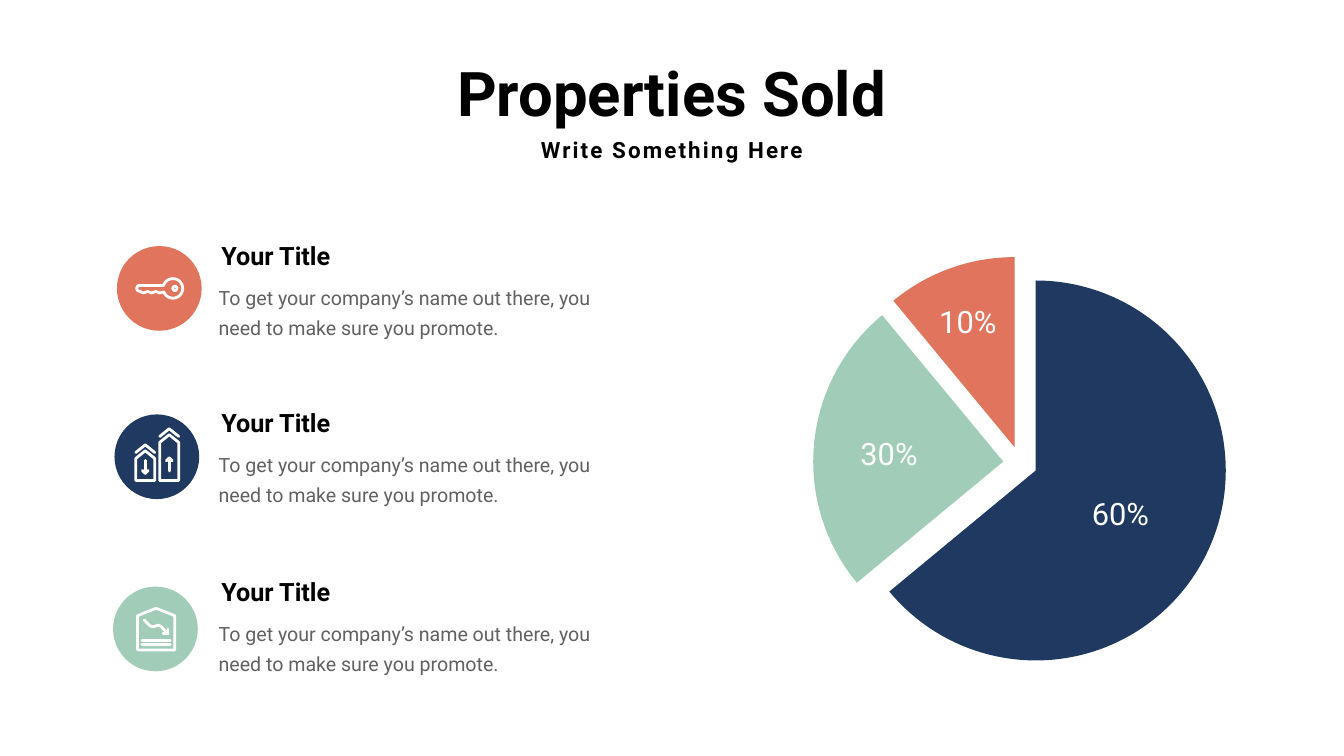
from math import cos, sin, radians

from lxml.etree import SubElement
from pptx import Presentation
from pptx.chart.data import CategoryChartData
from pptx.dml.color import RGBColor
from pptx.enum.chart import XL_CHART_TYPE
from pptx.enum.shapes import MSO_CONNECTOR, MSO_SHAPE
from pptx.enum.text import MSO_ANCHOR, MSO_AUTO_SIZE, PP_ALIGN
from pptx.oxml import parse_xml
from pptx.oxml.ns import nsdecls, qn
from pptx.util import Pt

BLACK = RGBColor(0x00, 0x00, 0x00)
WHITE = RGBColor(0xFF, 0xFF, 0xFF)
PALE = RGBColor(0xFE, 0xFF, 0xFE)
GRAY = RGBColor(0x60, 0x61, 0x60)
NAVY = RGBColor(0x1F, 0x39, 0x61)
MINT = RGBColor(0xA1, 0xCC, 0xB7)
CORAL = RGBColor(0xE0, 0x74, 0x5D)

HEAD = "Your Title"
BODY = "To get your company’s name out there, you need to make sure you promote."
DISC = 121
STROKE = 4

# Top of the row's heading, place of its disc, colour
ROWS = [
    (340, (167, 351.5), CORAL),
    (578.5, (163.5, 592), NAVY),
    (819.5, (161.5, 838), MINT),
]
SLICES = [("1", 64, NAVY), ("2", 25, MINT), ("3", 11, CORAL)]
LABELS = [("60%", 1525, 703.5), ("10%", 1307, 428.5), ("30%", 1194.5, 617)]

# Icon points are measured from the corner of the disc
BOW = [(80 + 14 * cos(radians(a)), 60.5 + 14 * sin(radians(a)))
       for a in range(197, 520, 14)]
TEETH = [(61, 67), (55.5, 65), (49.5, 67), (44, 65), (38, 67),
         (29.5, 63.5), (28, 60.5), (30, 56.5)]
HOUSE = [(35, 90.5), (35, 41.5), (61.5, 31), (88, 41.5), (88, 90.5)]
TREND = [(44.5, 48), (52.5, 56), (57, 57.5), (60.5, 56.5), (64, 55),
         (68.5, 57), (78.5, 67.5)]
TIP = [(71.5, 67.5), (78.5, 67.5), (78.5, 60.5)]
BARS = [77, 83]
TOWERS = [(44, 52, 1), (78.2, 29, -1)]  # middle, peak, arrow direction

deck = Presentation()
deck.slide_width, deck.slide_height = Pt(1919.5), Pt(1080)
slide = deck.slides.add_slide(deck.slide_layouts[5])
shapes = slide.shapes


def write(box, text, size, color, bold=False, align=PP_ALIGN.LEFT):
    frame = box.text_frame
    frame.text = text
    frame.word_wrap = True
    frame.auto_size = MSO_AUTO_SIZE.SHAPE_TO_FIT_TEXT
    frame.vertical_anchor = MSO_ANCHOR.TOP
    para = frame.paragraphs[0]
    para.alignment = align
    font = para.runs[0].font
    font.name, font.size, font.bold = "Roboto", Pt(size), bold
    font.color.rgb = color
    return frame


def add_text(x, y, w, h, *style, **more):
    box = shapes.add_textbox(Pt(x), Pt(y), Pt(w), Pt(h))
    return write(box, *style, **more)


def ink(shape):
    """Give an icon part a white line with round ends."""
    shape.line.color.rgb = WHITE
    shape.line.width = Pt(STROKE)
    line = shape.line._get_or_add_ln()
    line.set("cap", "rnd")
    SubElement(line, qn("a:round"))


def add_path(disc, points, close=False):
    left, top = disc
    spots = [(Pt(left + x), Pt(top + y)) for x, y in points]
    pen = shapes.build_freeform(*spots[0], scale=1.0)
    pen.add_line_segments(spots[1:], close=close)
    shape = pen.convert_to_shape()
    shape.shadow.inherit = False
    shape.fill.background()
    ink(shape)


def add_line(disc, x1, y1, x2, y2):
    left, top = disc
    line = shapes.add_connector(MSO_CONNECTOR.STRAIGHT, Pt(left + x1),
                                Pt(top + y1), Pt(left + x2), Pt(top + y2))
    ink(line)
    SubElement(line._element.spPr, qn("a:effectLst"))


def add_disc(x, y, size):
    disc = shapes.add_shape(MSO_SHAPE.OVAL, Pt(x), Pt(y), Pt(size), Pt(size))
    disc.shadow.inherit = False
    return disc


def draw_key(disc):
    add_path(disc, BOW + TEETH, close=True)
    ring = add_disc(disc[0] + 79.7, disc[1] + 57.4, 6.2)
    ring.fill.background()
    ink(ring)


def draw_towers(disc):
    for mid, peak, way in TOWERS:
        west, east = mid - 13.6, mid + 13.6
        add_path(disc, [(west, 94.5), (west, peak + 11), (mid, peak),
                        (east, peak + 11), (east, 94.5)], close=True)
        add_path(disc, [(west, peak + 2.5), (mid, peak - 8.5),
                        (east, peak + 2.5)])
        center = 75 if way > 0 else 71.5
        tip = center + 9.3 * way
        add_line(disc, mid, center - 9.3 * way, mid, tip)
        add_path(disc, [(mid - 4.2, tip - 4.2 * way), (mid, tip),
                        (mid + 4.2, tip - 4.2 * way)])


def draw_house(disc):
    add_path(disc, HOUSE, close=True)
    add_path(disc, TREND)
    add_path(disc, TIP)
    for y in BARS:
        add_line(disc, 41.5, y, 81.5, y)


def add_pie():
    data = CategoryChartData()
    data.categories = [name for name, _, _ in SLICES]
    data.add_series("Series 1", [value for _, value, _ in SLICES])
    chart = shapes.add_chart(XL_CHART_TYPE.PIE, Pt(995), Pt(353.5),
                             Pt(924.5), Pt(616.5), data).chart
    chart.has_title = chart.has_legend = False
    chart.font.name, chart.font.size = "Calibri", Pt(10)
    chart.font.color.rgb = GRAY
    plot = chart.plots[0]
    plot.vary_by_categories = True
    series = plot.series[0]
    series.format.line.fill.background()
    burst = parse_xml(f'<c:explosion {nsdecls("c")} val="9"/>')
    series._element.find(qn("c:spPr")).addnext(burst)
    for i, (_, _, color) in enumerate(SLICES):
        look = series.points[i].format
        look.fill.solid()
        look.fill.fore_color.rgb = color
        look.line.fill.background()
    area = chart._chartSpace.chart.plotArea
    for old in area.findall(qn("c:layout")):
        area.remove(old)
    layout = parse_xml(
        f'<c:layout {nsdecls("c")}><c:manualLayout>'
        '<c:layoutTarget val="inner"/><c:xMode val="edge"/>'
        '<c:yMode val="edge"/><c:x val="0.18"/><c:y val="0.02"/>'
        '<c:w val="0.64"/><c:h val="0.96"/></c:manualLayout></c:layout>')
    area.insert(0, layout)


title = shapes.title
title.left, title.top = Pt(499.5), Pt(75.5)
title.width, title.height = Pt(920), Pt(114)
write(title, "Properties Sold", 88, BLACK, bold=True, align=PP_ALIGN.CENTER)

add_pie()
for text, x, y in LABELS:
    add_text(x, y, 150.5, 60.5, text, 44, PALE, align=PP_ALIGN.CENTER)

for (top, place, color), draw in zip(ROWS, [draw_key, draw_towers, draw_house]):
    body = add_text(295, top + 50.5, 590.5, 100, BODY, 28, GRAY)
    body.margin_left = body.margin_right = Pt(17.3)
    body.margin_top = body.margin_bottom = Pt(8.6)
    body.paragraphs[0].line_spacing = Pt(43)
    add_text(309, top, 346, 51, HEAD, 36, BLACK, bold=True)
    disc = add_disc(*place, DISC)
    disc.fill.solid()
    disc.fill.fore_color.rgb = color
    disc.line.fill.background()
    draw(place)

sub = add_text(750, 191, 419, 46, "Write Something Here", 32, BLACK,
               bold=True, align=PP_ALIGN.CENTER)
sub.word_wrap = False
sub.paragraphs[0].runs[0].font._element.set("spc", "300")

deck.save("out.pptx")
